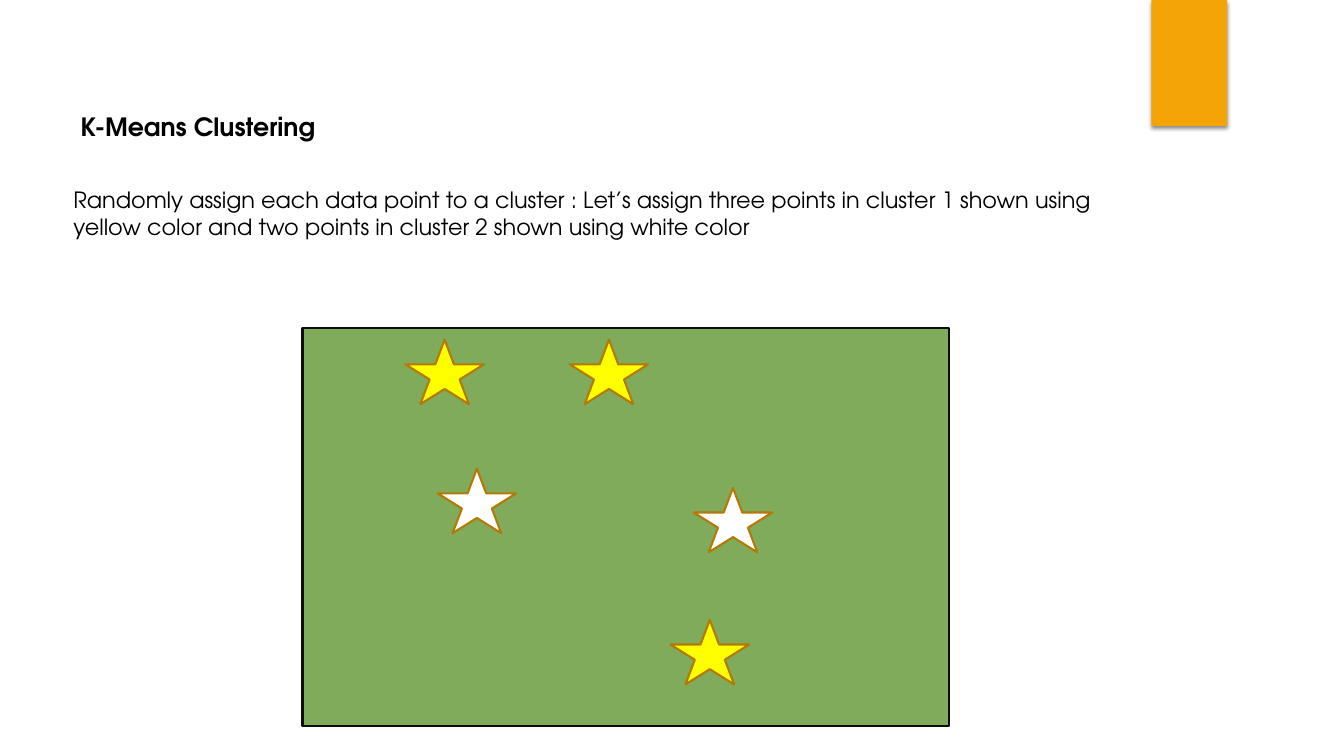
"""Build the K-Means Clustering slide with randomly assigned cluster points."""
from lxml import etree
from pptx import Presentation
from pptx.dml.color import RGBColor
from pptx.enum.shapes import MSO_SHAPE
from pptx.enum.text import MSO_ANCHOR, MSO_AUTO_SIZE, PP_ALIGN
from pptx.util import Inches, Pt

RECT, STAR = MSO_SHAPE.RECTANGLE, MSO_SHAPE.STAR_5_POINT
TOP, LEFT = MSO_ANCHOR.TOP, PP_ALIGN.LEFT
NO_FIT = MSO_AUTO_SIZE.NONE
FONT = "TeX Gyre Adventor"
YELLOW, WHITE = "FFFF00", "FFFFFF"
SHADOW = """<a:effectLst xmlns:a="http://schemas.openxmlformats.org/drawingml/2006/main">
<a:outerShdw blurRad="38100" dist="25400" dir="5400000" rotWithShape="0">
<a:srgbClr val="000000"><a:alpha val="45000"/></a:srgbClr></a:outerShdw></a:effectLst>"""


def add_figure(shapes, kind, box, fill, line=None):
    sp = shapes.add_shape(kind, *map(Inches, box))
    sp.shadow.inherit = False
    sp.fill.solid()
    sp.fill.fore_color.rgb = RGBColor.from_string(fill)
    if line:
        sp.line.color.rgb = RGBColor.from_string(line)
        sp.line.width = Pt(1.5)
    else:
        sp.line.fill.background()
    return sp


def set_text(sp, text, wrap, font):
    tf = sp.text_frame
    frame = {"auto_size": NO_FIT, "word_wrap": wrap, "vertical_anchor": TOP}
    for name, value in frame.items():
        setattr(tf, name, value)
    p = tf.paragraphs[0]
    p.alignment, p.line_spacing = LEFT, 1.0
    r = p.add_run()
    r.text = text
    for name, value in font.items():
        setattr(r.font, name, value)
    r.font.color.rgb = RGBColor.from_string("000000")


prs = Presentation()
prs.slide_width, prs.slide_height = Inches(13.33), Inches(7.5)
s = prs.slides.add_slide(prs.slide_layouts[5])

tab = add_figure(s.shapes, RECT, (11.42, 0, 0.75, 1.25), "F5A408")
sp_pr = tab.fill._xPr
sp_pr.replace(sp_pr[-1], etree.fromstring(SHADOW))

title = s.shapes.title
place = {"left": 0.7, "top": 1.05, "width": 2.57, "height": 0.4}
for name, value in place.items():
    setattr(title, name, Inches(value))
set_text(title, "K-Means Clustering", False, {"name": FONT, "size": Pt(18), "bold": True})

body = s.shapes.add_textbox(Inches(0.63), Inches(1.8), Inches(10.58), Inches(0.64))
set_text(
    body,
    "Randomly assign each data point to a cluster : Let’s assign three points in cluster 1 "
    "shown using yellow color and two points in cluster 2 shown using white color",
    True,
    {"name": FONT, "size": Pt(16)},
)

plot = s.shapes.add_group_shape()
add_figure(plot.shapes, RECT, (3, 3.25, 6.41, 3.95), "7FAB5B", "0D0D0D")
points = [
    (4.02, 3.37, YELLOW),
    (4.34, 4.65, WHITE),
    (5.65, 3.37, YELLOW),
    (6.88, 4.84, WHITE),
    (6.65, 6.15, YELLOW),
]
for x, y, color in points:
    add_figure(plot.shapes, STAR, (x, y, 0.78, 0.64), color, "B57906")

prs.save("out.pptx")
